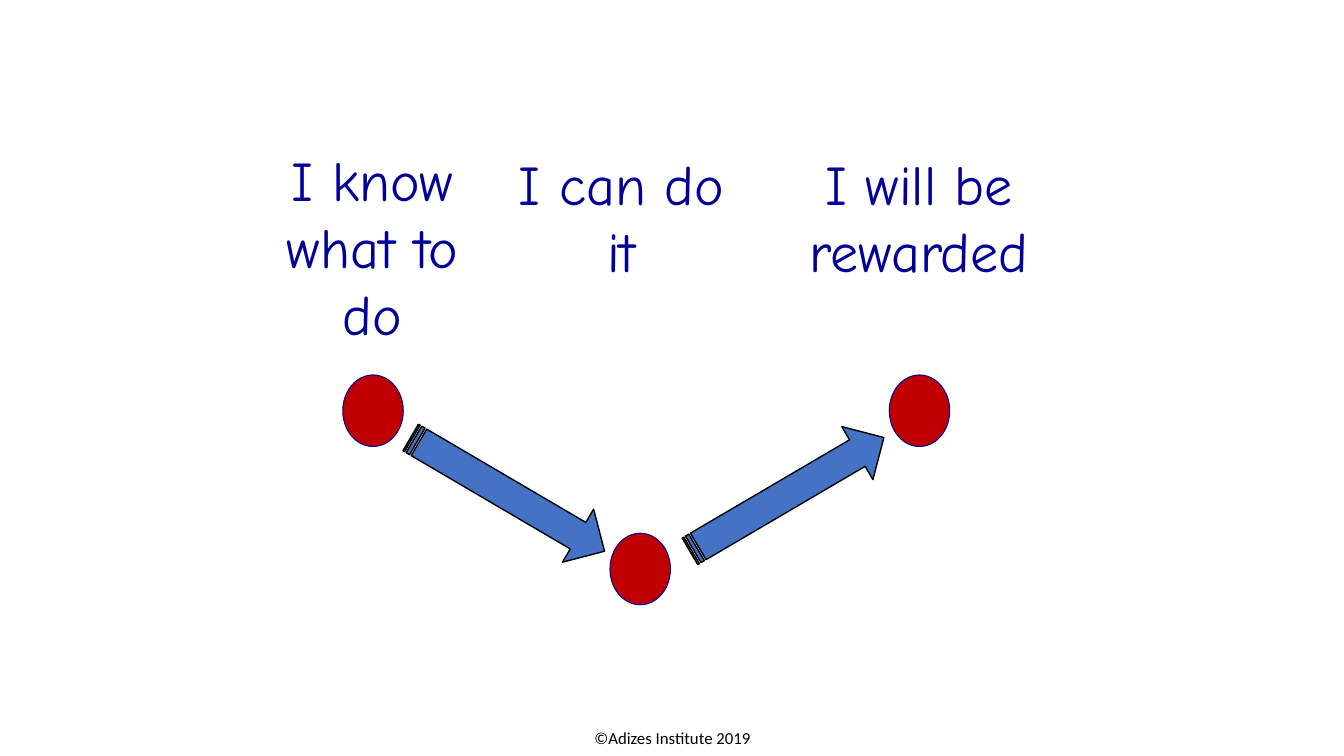
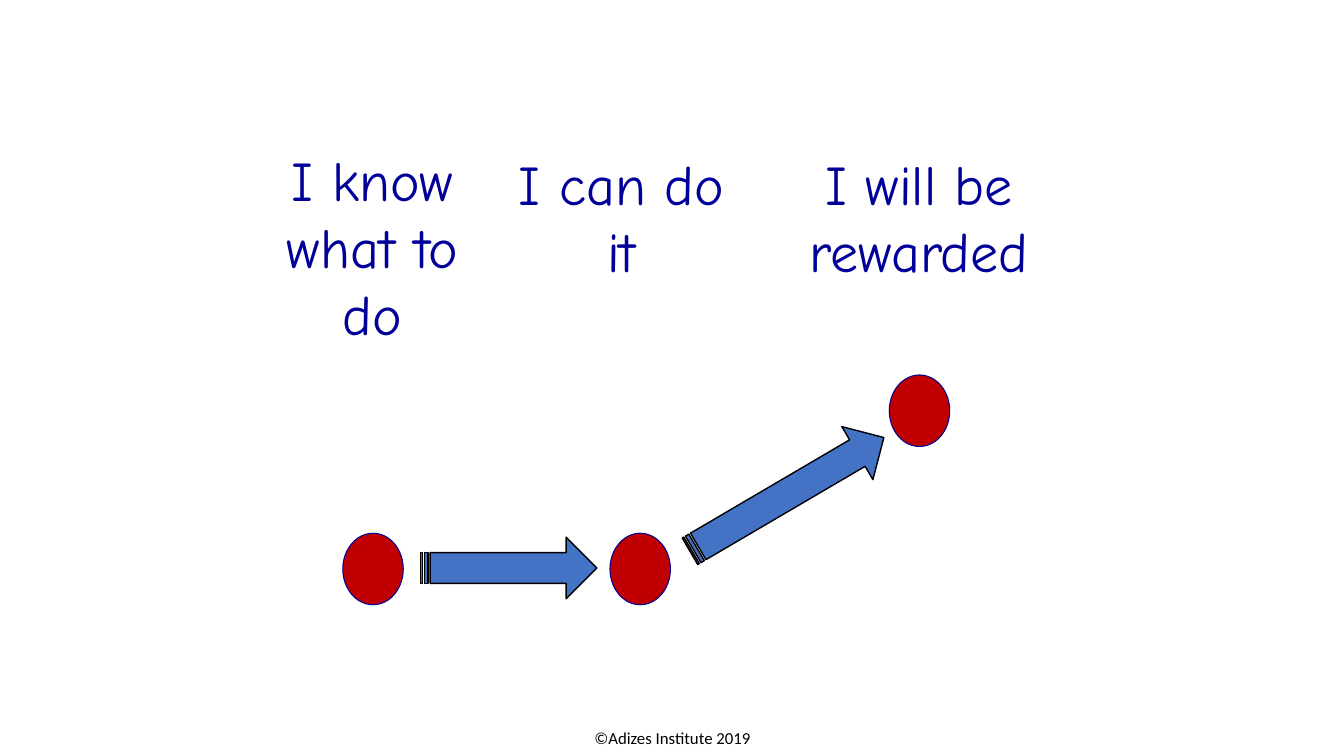
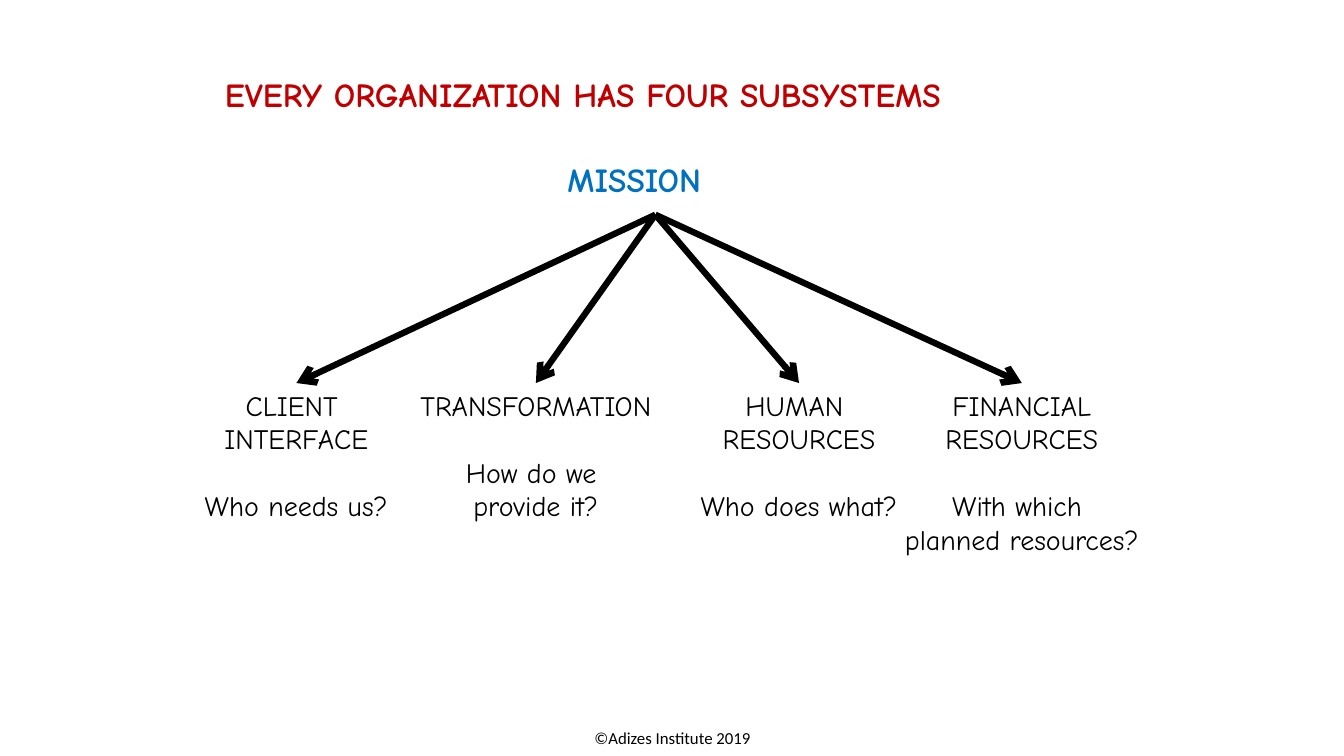
"""Builds three slides on personal motivation and on the subsystems of an organization."""
import pptx
import pptx.dml.color
import pptx.enum.shapes
import pptx.enum.text
import pptx.oxml
import pptx.util
from lxml import etree

RGB = pptx.dml.color.RGBColor
SHAPE = pptx.enum.shapes.MSO_SHAPE
ALIGN = pptx.enum.text.PP_ALIGN

NAVY = RGB(0x00, 0x00, 0x99)
RED = RGB(0xC0, 0x00, 0x00)
BLUE = RGB(0x00, 0x70, 0xC0)
ARROW_BLUE = RGB(0x44, 0x72, 0xC4)
BLACK = RGB(0x00, 0x00, 0x00)

HAND_FONT = "Comic Neue"
FOOTER_FONT = "Calibri"
EMU_PER_PX = 9144
TITLE_ONLY, BLANK = 5, 6

BALL_SIZE = (60, 71)
LOW, HIGH = 529, 372
KNOW_X, CAN_X, REWARD_X = 340, 605, 882
SLOPE = 30.4


def px(*lengths):
    return [pptx.util.Emu(length * EMU_PER_PX) for length in lengths]


def write(frame, lines, *, size, color, font=HAND_FONT, bold=False,
          align=ALIGN.CENTER, spacing=None, gap_at=None, gap=0, top_inset=5):
    frame.word_wrap = True
    frame.vertical_anchor = pptx.enum.text.MSO_ANCHOR.TOP
    frame.auto_size = pptx.enum.text.MSO_AUTO_SIZE.NONE
    frame.margin_left, frame.margin_right = px(10, 10)
    frame.margin_top, frame.margin_bottom = px(top_inset, 5)
    for number, line in enumerate(lines):
        paragraph = frame.add_paragraph() if number else frame.paragraphs[0]
        paragraph.alignment = align
        if spacing:
            paragraph.line_spacing = spacing
        if number and number == gap_at:
            paragraph.space_before = pptx.util.Pt(gap)
        run = paragraph.add_run()
        run.text = line
        run.font.name = font
        run.font.size = pptx.util.Pt(size)
        run.font.bold = bold
        run.font.color.rgb = color


class Deck:
    def __init__(self):
        self.presentation = pptx.Presentation()
        self.presentation.slide_width, self.presentation.slide_height = px(1333, 750)
        self.slide = None

    def new_slide(self, layout=BLANK):
        self.slide = self.presentation.slides.add_slide(
            self.presentation.slide_layouts[layout])
        self.text(445, 718, 444, 30, ["©Adizes Institute 2019"], size=12,
                  color=BLACK, font=FOOTER_FONT, spacing=0.93, top_inset=6)

    def title(self, left, top, width, height, wording):
        heading = self.slide.shapes.title
        heading.left, heading.top, heading.width, heading.height = px(
            left, top, width, height)
        write(heading.text_frame, [wording], size=24, color=RED, bold=True,
              align=ALIGN.LEFT)

    def text(self, left, top, width, height, lines, **style):
        box = self.slide.shapes.add_textbox(*px(left, top, width, height))
        write(box.text_frame, lines, **style)
        return box

    def shape(self, kind, left, top, width, height, fill, outline, weight):
        figure = self.slide.shapes.add_shape(kind, *px(left, top, width, height))
        figure.shadow.inherit = False
        figure.fill.solid()
        figure.fill.fore_color.rgb = fill
        figure.line.color.rgb = outline
        figure.line.width = pptx.util.Pt(weight)
        return figure

    def ball(self, left, top):
        self.shape(SHAPE.OVAL, left, top, *BALL_SIZE, RED, NAVY, 0.75)

    def striped_arrow(self, left, top, width, rotation=0):
        arrow = self.shape(SHAPE.STRIPED_RIGHT_ARROW, left, top, width, 61,
                           ARROW_BLUE, BLACK, 1)
        arrow.rotation = rotation

    def arrow_to_top(self, left, top, target):
        start_x, start_y = px(left, top)
        line = self.slide.shapes.add_connector(
            pptx.enum.shapes.MSO_CONNECTOR.STRAIGHT, start_x, start_y,
            target.left + target.width // 2, target.top)
        line.end_connect(target, 0)
        line.line.color.rgb = BLACK
        line.line.width = pptx.util.Pt(4.5)
        outline = line.line._get_or_add_ln()
        etree.SubElement(outline, pptx.oxml.ns.qn("a:tailEnd"), type="arrow")
        etree.SubElement(line._element.spPr, pptx.oxml.ns.qn("a:effectLst"))


def motivation_slide(deck, know_top, first_arrow):
    deck.new_slide()
    for left, top, width, height, belief in (
            (256, 139, 227, 212, "I know what to do"),
            (503, 143, 227, 145, "I can do it"),
            (773, 143, 277, 145, "I will be rewarded")):
        deck.text(left, top, width, height, [belief], size=40, color=NAVY)
    for left, top in ((KNOW_X, know_top), (CAN_X, LOW), (REWARD_X, HIGH)):
        deck.ball(left, top)
    deck.striped_arrow(*first_arrow)
    deck.striped_arrow(669, 460, 223, -SLOPE)


def subsystems_slide(deck):
    deck.new_slide(TITLE_ONLY)
    deck.title(213, 68, 874, 50, "EVERY ORGANIZATION HAS FOUR SUBSYSTEMS")
    deck.text(553, 153, 187, 50, ["MISSION"], size=24, color=BLUE, bold=True,
              align=ALIGN.LEFT)
    for left, width, subsystem, question in (
            (186, 216, ["CLIENT ", "INTERFACE"], ["Who needs us?"]),
            (381, 301, ["TRANSFORMATION"], ["How do we ", "provide it?"]),
            (675, 235, ["HUMAN ", "RESOURCES"], ["Who does what?"]),
            (878, 271, ["FINANCIAL", "RESOURCES"],
             ["With which ", "planned resources?"])):
        lines = subsystem + question
        column = deck.text(left, 380, width, 13 + 33 * (len(lines) + 1), lines,
                           size=20, color=BLACK, gap_at=len(subsystem), gap=24)
        deck.arrow_to_top(650, 213, column)


def main():
    deck = Deck()
    motivation_slide(deck, HIGH, (392, 460, 223, SLOPE))
    motivation_slide(deck, LOW, (417, 533, 175))
    subsystems_slide(deck)
    deck.presentation.save("out.pptx")


if __name__ == "__main__":
    main()
